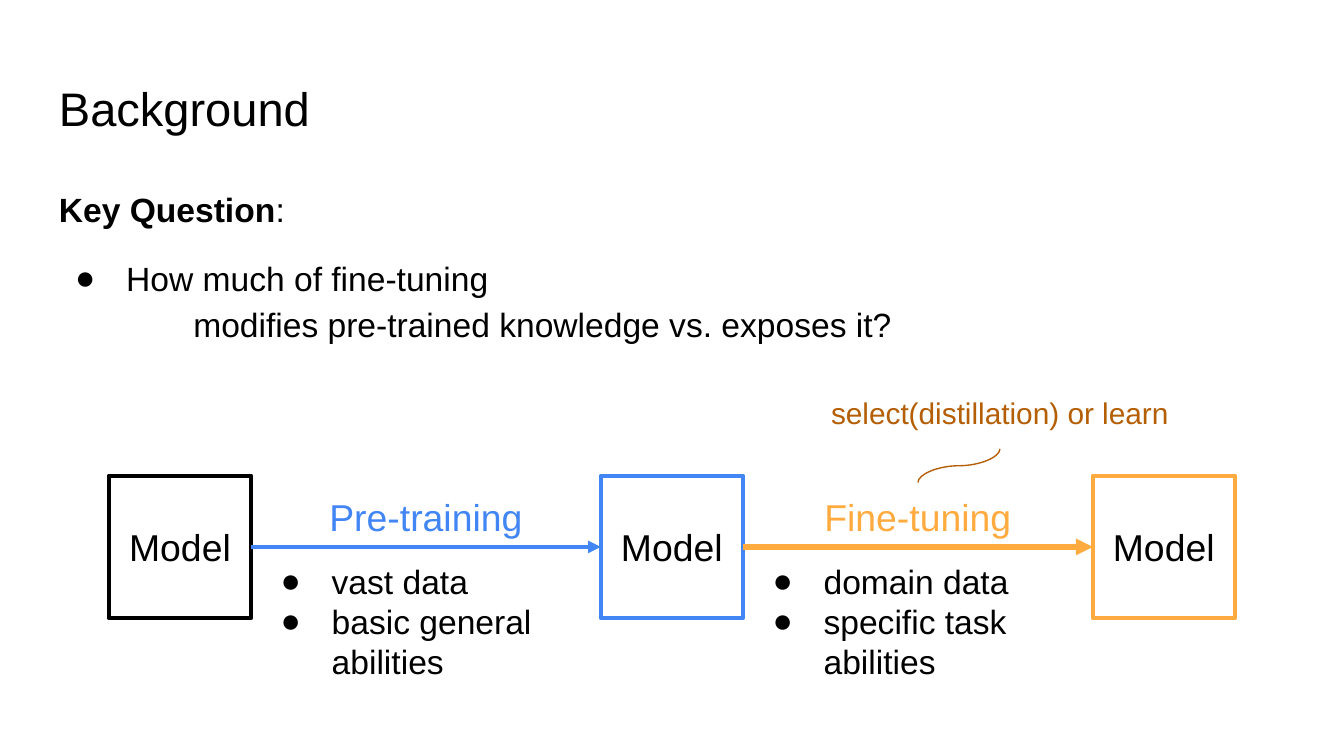
"""Build the Background slide: a key question above a model training pipeline."""
from dataclasses import dataclass
from typing import Optional

from lxml import etree
from pptx import Presentation
from pptx.dml.color import RGBColor
from pptx.enum import shapes, text
from pptx.oxml.ns import qn
from pptx.util import Inches, Pt


@dataclass(frozen=True)
class Theme:
    font: str = "Arial"
    ink: str = "000000"
    paper: str = "FFFFFF"
    blue: str = "4285F4"
    orange: str = "FFAB40"
    brown: str = "B45F06"
    title: float = 25.2
    label: float = 20
    body: float = 18
    note: float = 16
    outline: float = 2.25
    hairline: float = 0.75


@dataclass(frozen=True)
class Stage:
    name: str
    traits: tuple[str, ...]
    color: str
    arrow_width: float


THEME = Theme()
STAGES = (
    Stage("Pre-training", ("vast data", "basic general abilities"), THEME.blue, 2.25),
    Stage("Fine-tuning", ("domain data", "specific task abilities"), THEME.orange, 3),
)
SLIDE_WIDTH = 10
SLIDE_HEIGHT = SLIDE_WIDTH * 9 / 16
MODEL_LEFT, MODEL_TOP, MODEL_SIZE, GAP = 0.81, 3.54, 1.06, 2.6
PITCH = MODEL_SIZE + GAP
MIDLINE = MODEL_TOP + MODEL_SIZE / 2
LABEL_WIDTH = 1.76


def style_text(frame, size: float, color: str = THEME.ink, centered: bool = False) -> None:
    frame.word_wrap = True
    frame.margin_left = frame.margin_right = Inches(0.1)
    frame.margin_top = frame.margin_bottom = Inches(0.1)
    for paragraph in frame.paragraphs:
        paragraph.alignment = text.PP_ALIGN.CENTER if centered else text.PP_ALIGN.LEFT
        for run in paragraph.runs:
            run.font.name = THEME.font
            run.font.size = Pt(size)
            run.font.color.rgb = RGBColor.from_string(color)


def add_text(slide, box: tuple[float, ...], words: str, size: float,
             color: str = THEME.ink, centered: bool = False):
    frame = slide.shapes.add_textbox(*map(Inches, box)).text_frame
    frame.text = words
    style_text(frame, size, color, centered)
    return frame


def add_bullet(paragraph) -> None:
    properties = paragraph._p.get_or_add_pPr()
    properties.set("marL", str(Inches(0.5)))
    properties.set("indent", str(Inches(-0.38)))
    tint = etree.SubElement(properties, qn("a:buClr"))
    etree.SubElement(tint, qn("a:srgbClr"), val=THEME.ink)
    etree.SubElement(properties, qn("a:buFont"), typeface=THEME.font)
    etree.SubElement(properties, qn("a:buChar"), char="●")


def add_model(slide, left: float, color: str):
    model = slide.shapes.add_shape(
        shapes.MSO_SHAPE.RECTANGLE, *map(Inches, (left, MODEL_TOP, MODEL_SIZE, MODEL_SIZE)))
    model.shadow.inherit = False
    model.fill.solid()
    model.fill.fore_color.rgb = RGBColor.from_string(THEME.paper)
    model.line.color.rgb = RGBColor.from_string(color)
    model.line.width = Pt(THEME.outline)
    etree.SubElement(model.line._get_or_add_ln(), qn("a:round"))
    model.text_frame.text = "Model"
    model.text_frame.vertical_anchor = text.MSO_ANCHOR.MIDDLE
    style_text(model.text_frame, THEME.label, centered=True)
    return model


def add_line(slide, kind, ends: tuple[float, ...], color: str, width: float,
             arrowhead: Optional[str] = None):
    line = slide.shapes.add_connector(kind, *map(Inches, ends))
    line.line.color.rgb = RGBColor.from_string(color)
    line.line.width = Pt(width)
    if arrowhead:
        etree.SubElement(line.line._get_or_add_ln(), qn("a:tailEnd"), type=arrowhead)
    etree.SubElement(line.element.spPr, qn("a:effectLst"))
    return line


def add_question(slide) -> None:
    frame = add_text(
        slide, (0.34, 1.26, 9.32, 3.74),
        "Key Question\nHow much of fine-tuning \v\tmodifies pre-trained knowledge vs. exposes it?",
        THEME.body)
    heading, question = frame.paragraphs
    heading.add_run().text = ":"
    style_text(frame, THEME.body)
    heading.runs[0].font.bold = True
    heading.line_spacing = question.line_spacing = 1.15
    question.space_before = Pt(12)
    add_bullet(question)


def add_stage(slide, stage: Stage, left: float, source, target) -> None:
    arrow = add_line(slide, shapes.MSO_CONNECTOR.STRAIGHT, (left, MIDLINE, left + GAP, MIDLINE),
                     stage.color, stage.arrow_width, "triangle")
    arrow.begin_connect(source, 3)
    arrow.end_connect(target, 1)
    add_text(slide, (left + (GAP - LABEL_WIDTH) / 2, 3.58, LABEL_WIDTH, 0.54),
             stage.name, THEME.label, stage.color, centered=True)
    traits = add_text(slide, (left, MIDLINE, GAP, 0.92), "\n".join(stage.traits), THEME.body)
    for trait in traits.paragraphs:
        add_bullet(trait)


def add_remark(slide) -> None:
    remark = add_text(slide, (6.04, 2.8, 2.8, 0.54), "select(distillation) or learn",
                      THEME.note, THEME.brown, centered=True)
    remark.vertical_anchor = text.MSO_ANCHOR.MIDDLE
    squiggle = add_line(slide, shapes.MSO_CONNECTOR.CURVE, (7.01, 3.16, 7.26, 3.77),
                        THEME.brown, THEME.hairline)
    squiggle.element.spPr.find(qn("a:xfrm")).set("rot", str(270 * 60000))


def main() -> None:
    deck = Presentation()
    deck.slide_width, deck.slide_height = Inches(SLIDE_WIDTH), Inches(SLIDE_HEIGHT)
    slide = deck.slides.add_slide(deck.slide_layouts[6])
    add_text(slide, (0.34, 0.49, 9.32, 0.63), "Background", THEME.title)
    add_question(slide)
    model_colors = (THEME.ink, *(stage.color for stage in STAGES))
    models = [add_model(slide, MODEL_LEFT + i * PITCH, color)
              for i, color in enumerate(model_colors)]
    for i, stage in enumerate(STAGES):
        add_stage(slide, stage, MODEL_LEFT + MODEL_SIZE + i * PITCH, models[i], models[i + 1])
    add_remark(slide)
    deck.save("out.pptx")


if __name__ == "__main__":
    main()
